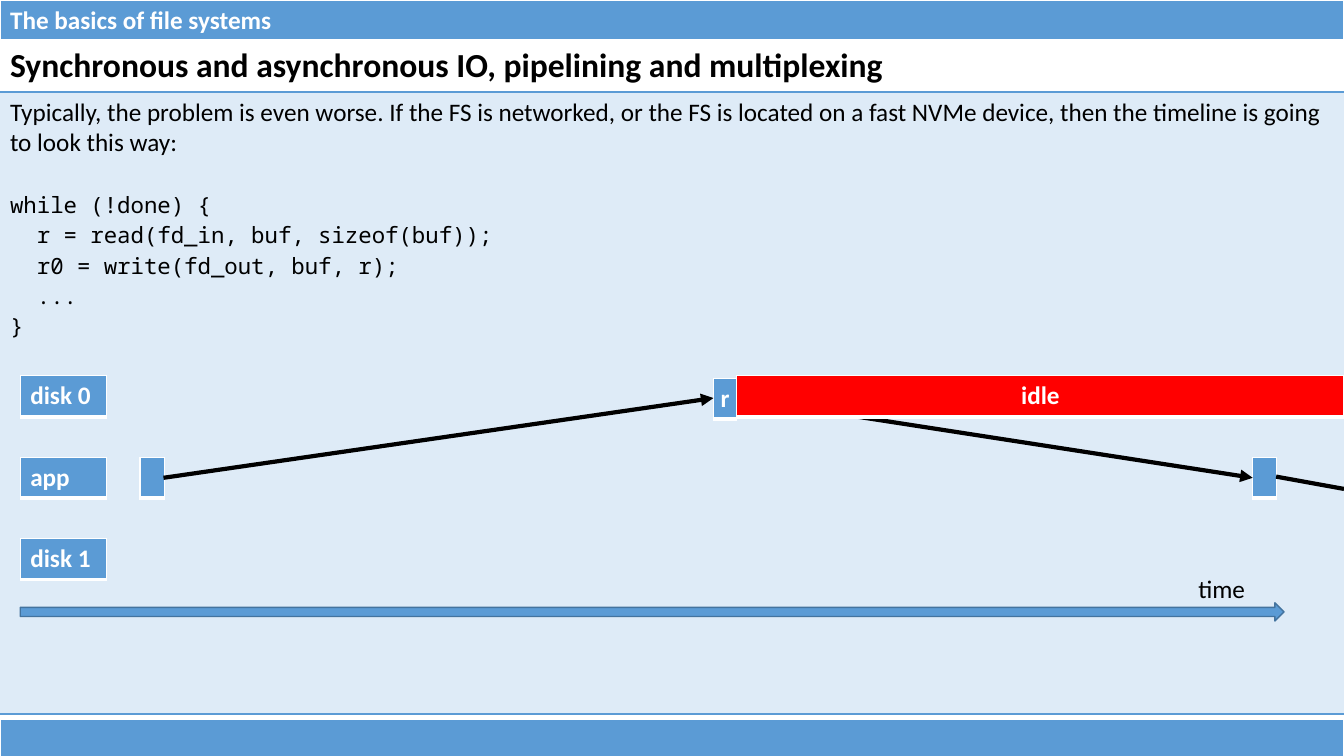
"""Build the slide on synchronous IO with its disk and application timeline."""

from dataclasses import dataclass

from lxml.etree import SubElement
from pptx import Presentation
from pptx.dml.color import RGBColor
from pptx.enum.shapes import MSO_CONNECTOR, MSO_SHAPE
from pptx.enum.text import PP_ALIGN
from pptx.oxml import parse_xml
from pptx.oxml.ns import nsdecls, qn
from pptx.slide import Slide
from pptx.table import Table, _Cell
from pptx.text.text import _Paragraph
from pptx.util import Cm, Pt

WIDTH, HEIGHT = 33.87, 19.05
BLUE, PALE_BLUE, DARK_BLUE = "5B9BD5", "DEEBF7", "43739E"
WHITE, BLACK, RED = "FFFFFF", "000000", "FF0000"
BAR_HEIGHT, BLOCK_HEIGHT, TICK_WIDTH = 1.02, 1.03, 0.59
TITLE_HEIGHT, BODY_HEIGHT = 1.3, 15.67
LANE_LEFT, LANE_TOP, LANE_STEP, LANE_WIDTH = 0.51, 9.47, 2.05, 2.18
APP_TOP = LANE_TOP + LANE_STEP

INTRODUCTION = (
    "Typically, the problem is even worse. If the FS is networked, or the FS is located "
    "on a fast NVMe device, then the timeline is going to look this way:"
)
CODE = """while (!done) {
  r = read(fd_in, buf, sizeof(buf));
  r0 = write(fd_out, buf, r);
  ...
}"""


@dataclass
class Block:
    left: float
    top: float
    width: float
    text: str = ""
    height: float = BLOCK_HEIGHT
    fill: str = BLUE
    centered: bool = False


@dataclass
class Link:
    start: tuple[float, float]
    end: tuple[float, float]
    arrow: bool = True


BARS = [
    Block(0, 0, WIDTH, "The basics of file systems", BAR_HEIGHT),
    Block(0, 18.14, WIDTH, height=BAR_HEIGHT),
]
LANES = [
    Block(LANE_LEFT, LANE_TOP + index * LANE_STEP, LANE_WIDTH, name)
    for index, name in enumerate(["disk 0", "app", "disk 1"])
]
STEPS = [
    Block(17.98, 9.53, TICK_WIDTH, "r", centered=True),
    Block(3.53, APP_TOP, TICK_WIDTH),
    Block(31.57, APP_TOP, TICK_WIDTH),
]
LINKS = [
    Link((4.12, 12.04), (17.98, 10.03)),
    Link((18.57, 10.03), (31.57, 12.04)),
    Link((32.16, 12.01), (WIDTH, 12.32), arrow=False),
]
IDLE = Block(18.57, LANE_TOP, 15.3, "idle", fill=RED, centered=True)


def color(value: str) -> RGBColor:
    return RGBColor.from_string(value)


def style_paragraph(
    paragraph: _Paragraph, size: float, value: str, bold: bool = False, name: str = "Calibri"
) -> None:
    font = paragraph.font
    font.size, font.bold, font.name = Pt(size), bold, name
    font.color.rgb = color(value)


def set_borders(cell: _Cell, value: str, widths: dict[str, float]) -> None:
    properties = cell._tc.get_or_add_tcPr()
    for index, side in enumerate("LRTB"):
        width = widths.get(side, 0)
        paint = f'<a:solidFill><a:srgbClr val="{value}"/></a:solidFill>' if width else "<a:noFill/>"
        border = f'<a:ln{side} {nsdecls("a")} w="{Pt(width)}">{paint}</a:ln{side}>'
        properties.insert(index, parse_xml(border))


def add_plain_table(
    slide: Slide, left: float, top: float, width: float, heights: list[float]
) -> Table:
    frame = slide.shapes.add_table(
        len(heights), 1, Cm(left), Cm(top), Cm(width), Cm(sum(heights))
    )
    table = frame.table
    table.first_row = table.horz_banding = False
    for row, height in zip(table.rows, heights):
        row.height = Cm(height)
    return table


def add_block(slide: Slide, block: Block) -> None:
    table = add_plain_table(slide, block.left, block.top, block.width, [block.height])
    cell = table.cell(0, 0)
    cell.fill.solid()
    cell.fill.fore_color.rgb = color(block.fill)
    set_borders(cell, WHITE, {"L": 1, "R": 1, "T": 1, "B": 3})
    cell.text = block.text
    paragraph = cell.text_frame.paragraphs[0]
    style_paragraph(paragraph, 18, WHITE, bold=True)
    if block.centered:
        paragraph.alignment = PP_ALIGN.CENTER
        cell.margin_left = cell.margin_right = 0


def add_content(slide: Slide) -> None:
    table = add_plain_table(slide, 0, BAR_HEIGHT, WIDTH, [TITLE_HEIGHT, BODY_HEIGHT])
    title, body = table.cell(0, 0), table.cell(1, 0)
    title.fill.background()
    body.fill.solid()
    body.fill.fore_color.rgb = color(PALE_BLUE)
    for cell in (title, body):
        set_borders(cell, BLUE, {"T": 1, "B": 1})
    title.text = "Synchronous and asynchronous IO, pipelining and multiplexing"
    style_paragraph(title.text_frame.paragraphs[0], 24, BLACK, bold=True)
    body.text = f"{INTRODUCTION}\n{CODE}"
    introduction, *code_lines = body.text_frame.paragraphs
    style_paragraph(introduction, 18, BLACK)
    for paragraph in code_lines:
        style_paragraph(paragraph, 16, BLACK, name="Noto Sans Mono")
    code_lines[0].space_before = Pt(22)


def add_link(slide: Slide, link: Link) -> None:
    points = [Cm(value) for value in (*link.start, *link.end)]
    connector = slide.shapes.add_connector(MSO_CONNECTOR.STRAIGHT, *points)
    connector.line.color.rgb = color(BLACK)
    connector.line.width = Pt(3)
    if link.arrow:
        SubElement(connector.line._get_or_add_ln(), qn("a:tailEnd"), type="triangle")
    SubElement(connector._element.spPr, qn("a:effectLst"))


def add_time_axis(slide: Slide) -> None:
    axis = slide.shapes.add_shape(
        MSO_SHAPE.RIGHT_ARROW, Cm(LANE_LEFT), Cm(15.19), Cm(31.85), Cm(0.46)
    )
    axis.shadow.inherit = False
    axis.fill.solid()
    axis.fill.fore_color.rgb = color(BLUE)
    axis.line.color.rgb = color(DARK_BLUE)
    axis.line.width = Pt(1)
    label = slide.shapes.add_textbox(Cm(29.95), Cm(14.33), Cm(1.7), Cm(1.02))
    label.text_frame.text = "time"
    style_paragraph(label.text_frame.paragraphs[0], 18, BLACK)


def main() -> None:
    presentation = Presentation()
    presentation.slide_width, presentation.slide_height = Cm(WIDTH), Cm(HEIGHT)
    slide = presentation.slides.add_slide(presentation.slide_layouts[6])
    add_content(slide)
    for block in BARS + LANES + STEPS:
        add_block(slide, block)
    add_time_axis(slide)
    for link in LINKS:
        add_link(slide, link)
    add_block(slide, IDLE)
    presentation.save("out.pptx")


if __name__ == "__main__":
    main()
